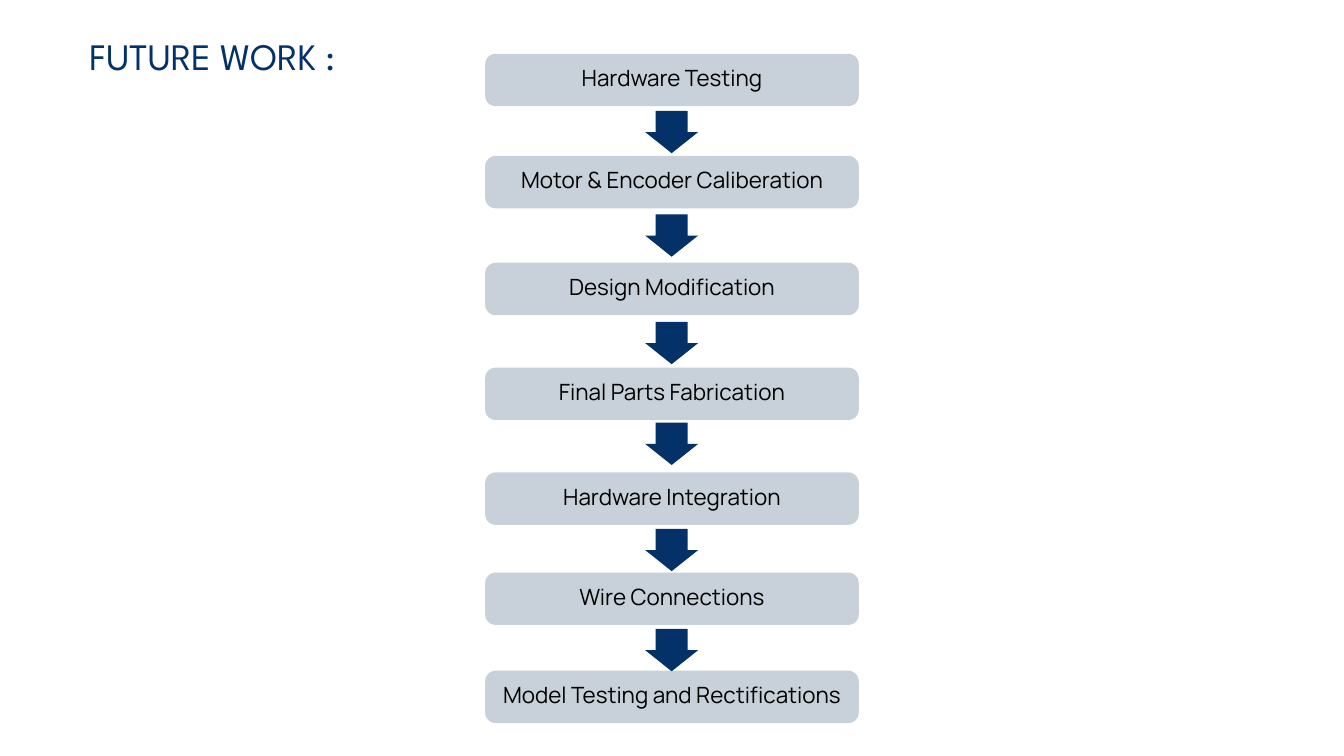
from dataclasses import dataclass

from pptx import Presentation
from pptx import util as u
from pptx.dml.color import RGBColor
from pptx.enum import shapes, text

PX = u.Inches(1) // 100
SLIDE_WIDTH, SLIDE_HEIGHT = 2000, 1125
STEP_WIDTH, STEP_HEIGHT = 556, 78
ARROW_WIDTH, ARROW_HEIGHT = 79, 63

STEPS = [
    ("Hardware Testing", 80),
    ("Motor & Encoder Caliberation", 232),
    ("Design Modification", 391),
    ("Final Parts Fabrication", 547),
    ("Hardware Integration", 703),
    ("Wire Connections", 852),
    ("Model Testing and Rectifications", 998),
]
ARROW_TOPS = [165, 319, 479, 629, 787, 936]


@dataclass(frozen=True)
class Theme:
    navy: RGBColor = RGBColor(0x03, 0x31, 0x68)
    grey: RGBColor = RGBColor(0xC8, 0xD1, 0xD9)
    black: RGBColor = RGBColor(0, 0, 0)
    title_font: str = "League Spartan"
    step_font: str = "Manrope"
    title_size: float = 40
    step_size: float = 24
    line_ratio: float = 1.4


THEME = Theme()


def px(*lengths):
    return [length * PX for length in lengths]


def write_text(shape, words, font_name, size, color, insets):
    frame = shape.text_frame
    frame.word_wrap = True
    frame.margin_left, frame.margin_top, frame.margin_right, frame.margin_bottom = px(*insets)
    paragraph = frame.paragraphs[0]
    paragraph.text = words
    paragraph.alignment = text.PP_ALIGN.CENTER
    paragraph.line_spacing = u.Pt(size * THEME.line_ratio)
    paragraph.font.name = font_name
    paragraph.font.size = u.Pt(size)
    paragraph.font.color.rgb = color


def add_title(slide, words):
    box = slide.shapes.add_textbox(*px(27, 38, 578, 74))
    write_text(box, words, THEME.title_font, THEME.title_size, THEME.navy, (0, 0, 0, 0))


def add_centred_shape(slide, preset, top, width, height, color, adjustments):
    left = (SLIDE_WIDTH - width) // 2
    shape = slide.shapes.add_shape(preset, *px(left, top, width, height))
    for index, value in enumerate(adjustments):
        shape.adjustments[index] = value
    shape.shadow.inherit = False
    shape.fill.solid()
    shape.fill.fore_color.rgb = color
    shape.line.fill.background()
    return shape


def add_step(slide, words, top):
    step = add_centred_shape(slide, shapes.MSO_SHAPE.ROUNDED_RECTANGLE, top,
                             STEP_WIDTH, STEP_HEIGHT, THEME.grey, [0.2])
    step.text_frame.vertical_anchor = text.MSO_ANCHOR.MIDDLE
    write_text(step, words, THEME.step_font, THEME.step_size, THEME.black, (3, 3, 3, 17))


def add_arrow(slide, top):
    add_centred_shape(slide, shapes.MSO_SHAPE.DOWN_ARROW, top,
                      ARROW_WIDTH, ARROW_HEIGHT, THEME.navy, [0.6, 0.5])


def main():
    presentation = Presentation()
    presentation.slide_width, presentation.slide_height = px(SLIDE_WIDTH, SLIDE_HEIGHT)
    slide = presentation.slides.add_slide(presentation.slide_layouts[6])
    add_title(slide, "FUTURE WORK :")
    for words, top in STEPS:
        add_step(slide, words, top)
    for top in ARROW_TOPS:
        add_arrow(slide, top)
    presentation.save("out.pptx")


if __name__ == "__main__":
    main()
